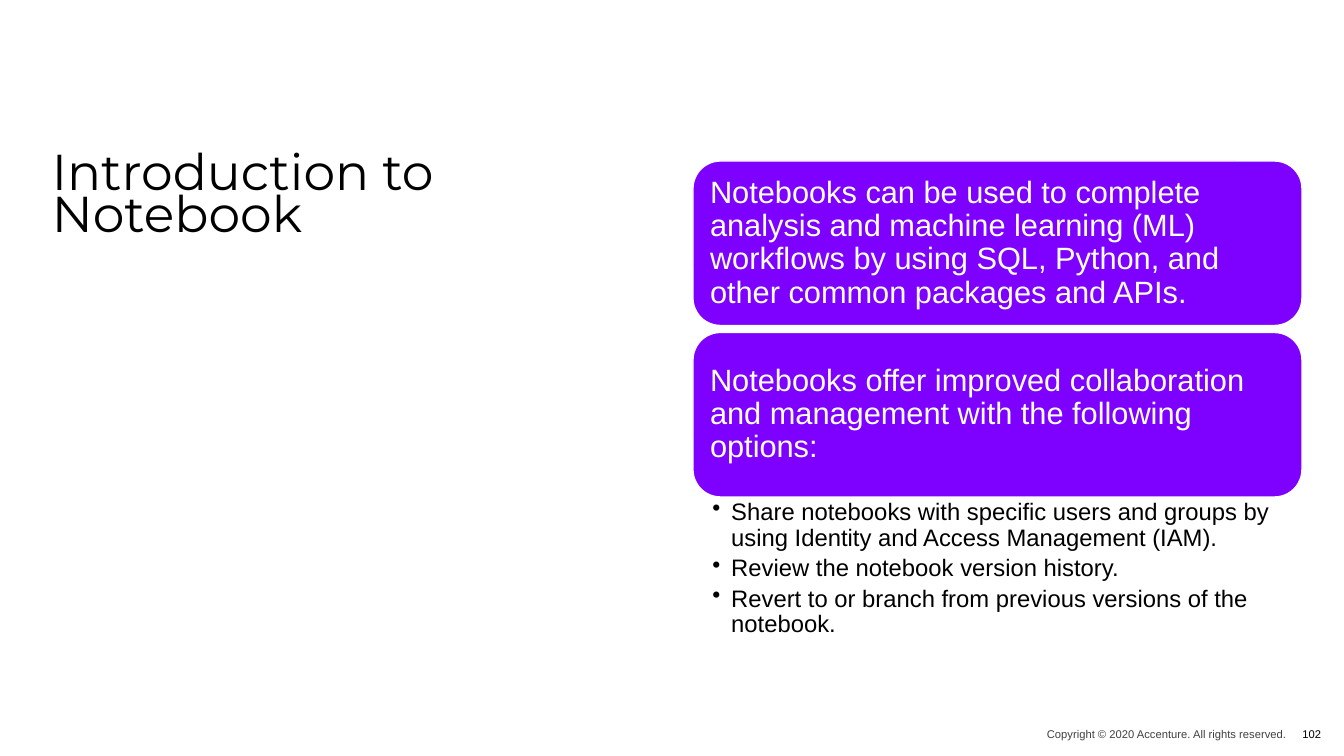
from lxml import etree
from pptx import Presentation
from pptx.dml.color import RGBColor
from pptx.enum.shapes import MSO_SHAPE
from pptx.enum.text import MSO_ANCHOR, PP_ALIGN
from pptx.oxml.ns import qn
from pptx.util import Pt

ROUND = MSO_SHAPE.ROUNDED_RECTANGLE
TOP, MIDDLE = MSO_ANCHOR.TOP, MSO_ANCHOR.MIDDLE
LEFT, CENTER, RIGHT = PP_ALIGN.LEFT, PP_ALIGN.CENTER, PP_ALIGN.RIGHT
BLACK = RGBColor(0x00, 0x00, 0x00)
GREY = RGBColor(0x40, 0x40, 0x40)
WHITE = RGBColor(0xFF, 0xFF, 0xFF)
PURPLE = RGBColor(0x7E, 0x00, 0xFF)

deck = Presentation()
deck.slide_width, deck.slide_height = Pt(960), Pt(540)
slide = deck.slides.add_slide(deck.slide_layouts[6])


def write(shape, lines, size, color, pads, anchor=TOP, face="Arial", bullet=False, **form):
    frame = shape.text_frame
    sides = ("left", "top", "right", "bottom")
    values = {f"margin_{side}": Pt(pad) for side, pad in zip(sides, pads)}
    values.update(word_wrap=True, vertical_anchor=anchor)
    for name, value in values.items():
        setattr(frame, name, value)
    frame.text = "\n".join(lines)
    for para in frame.paragraphs:
        if bullet:
            props = para._p.get_or_add_pPr()
            props.set("marL", str(Pt(13.5)))
            props.set("indent", str(Pt(-13.5)))
            etree.SubElement(props, qn("a:buChar")).set("char", "•")
        for name, value in form.items():
            setattr(para, name, value)
        font = para.font
        font.name, font.size = face, Pt(size)
        font.color.rgb = color


def add_text(place, *args, **form):
    box = slide.shapes.add_textbox(*map(Pt, place))
    write(box, *args, **form)


add_text((30, 108, 435, 129), ["Introduction to Notebook"], 36, BLACK,
         (7.2, 3.6, 7.2, 3.6), face="Montserrat", line_spacing=0.7)

cards = [
    "Notebooks can be used to complete analysis and machine learning (ML) "
    "workflows by using SQL, Python, and other common packages and APIs.",
    "Notebooks offer improved collaboration and management with the following options:",
]
for row, text in enumerate(cards):
    card = slide.shapes.add_shape(ROUND, Pt(495), Pt(115 + 122.5 * row), Pt(435), Pt(117.5))
    card.shadow.inherit = False
    card.fill.solid()
    card.fill.fore_color.rgb = PURPLE
    card.line.color.rgb = WHITE
    card.line.width = Pt(1)
    write(card, [text], 22, WHITE, (6.5,) * 4, anchor=MIDDLE,
          alignment=LEFT, line_spacing=0.9)

options = [
    "Share notebooks with specific users and groups by using Identity and Access Management (IAM).",
    "Review the notebook version history.",
    "Revert to or branch from previous versions of the notebook.",
]
add_text((495, 355, 435, 100), options, 17, BLACK, (13.8, 2, 12, 2),
         bullet=True, line_spacing=0.9, space_after=Pt(3.4))

add_text((674, 516, 245, 16), ["Copyright © 2020 Accenture. All rights reserved."], 8, GREY,
         (0,) * 4, anchor=MIDDLE, alignment=RIGHT)
add_text((922, 516, 30, 16), ["102"], 8, BLACK, (0,) * 4, anchor=MIDDLE, alignment=CENTER)

deck.save("out.pptx")
